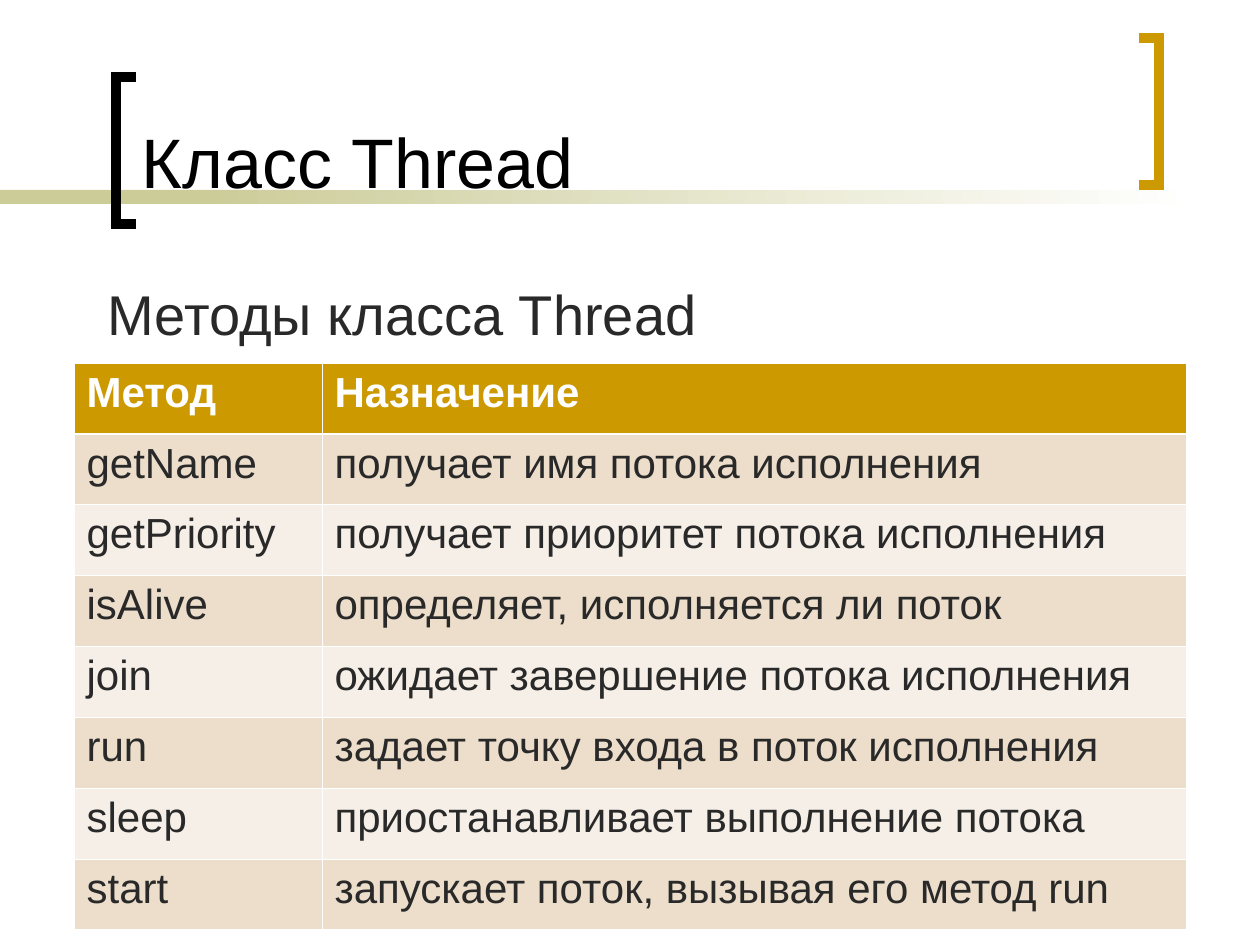
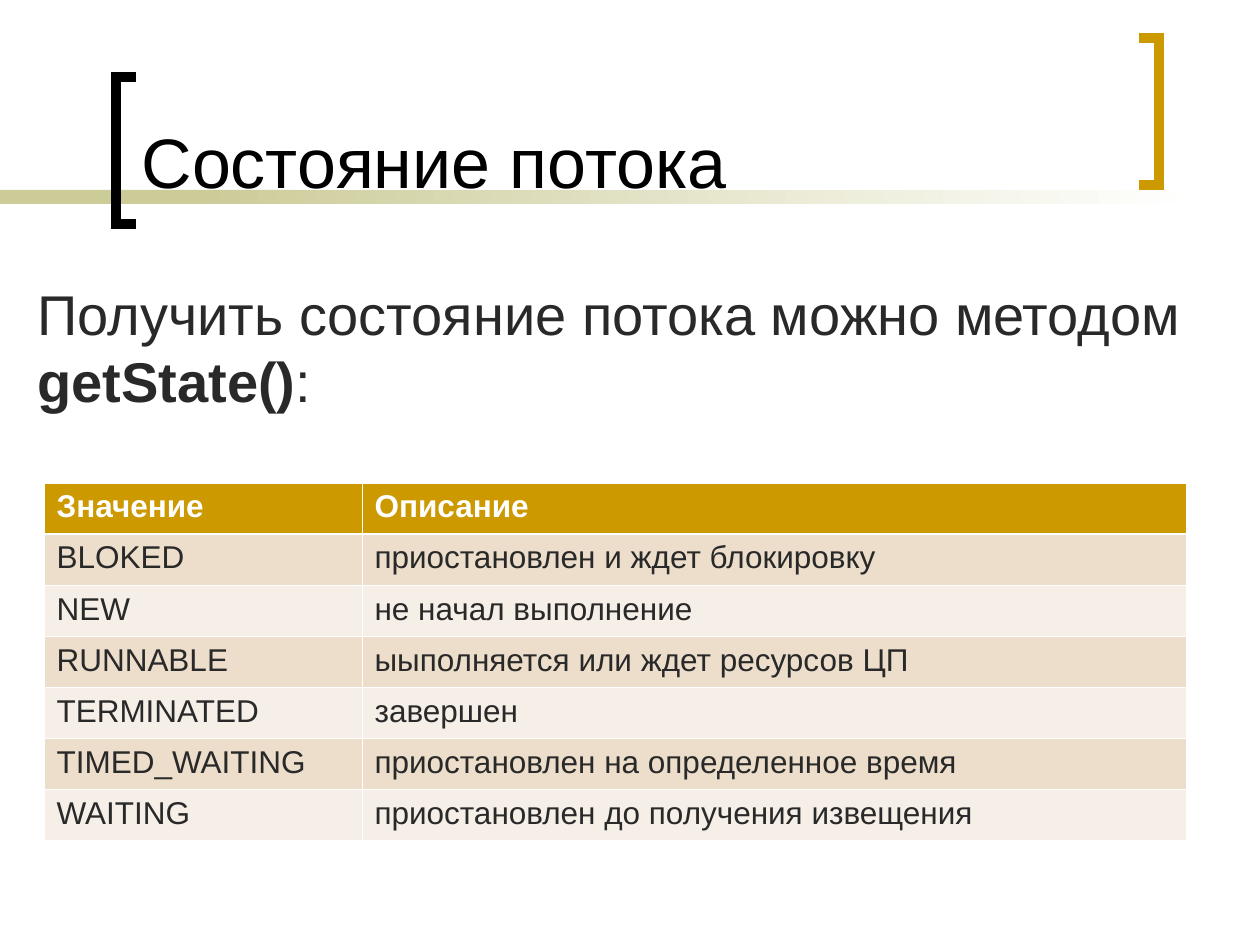
from lxml.etree import SubElement
from pptx import Presentation
from pptx.dml.color import RGBColor
from pptx.enum.shapes import MSO_SHAPE
from pptx.enum.text import MSO_ANCHOR, MSO_AUTO_SIZE, PP_ALIGN
from pptx.oxml.ns import qn
from pptx.util import Pt

PX = 914400 / 126  # EMU in one px
SLIDE_WIDTH, SLIDE_HEIGHT = 1260, 945
FONT = "Arial"
TITLE_ONLY = 5
COLORS = {
    "title": "000000",
    "text": "292929",
    "white": "FFFFFF",
    "gold": "CC9900",
    "olive": "CCCC99",
    "row_dark": "ECDECB",
    "row_light": "F6EFE7",
}


def px(*lengths):
    return [round(length * PX) for length in lengths]


def rgb(name):
    return RGBColor.from_string(COLORS[name])


def add_text(paragraph, text, *, size, color="text", bold=False, align=PP_ALIGN.LEFT):
    paragraph.alignment = align
    run = paragraph.add_run()
    run.text = text
    run.font.name = FONT
    run.font.size = Pt(size)
    run.font.bold = bold
    run.font.color.rgb = rgb(color)


class Deck:
    """Holds the shared style and the slide being built."""

    def __init__(self):
        self.prs = Presentation()
        self.prs.slide_width, self.prs.slide_height = px(SLIDE_WIDTH, SLIDE_HEIGHT)
        self.slide = None

    def new_slide(self, heading, heading_width):
        self.slide = self.prs.slides.add_slide(self.prs.slide_layouts[TITLE_ONLY])
        # Olive band that fades to the right
        self.band(0, 294)
        self.band(199, 998, fade_to="white")
        # Brackets around the title
        self.bracket(open_x=136, spine_x=116, top=77, color="title")
        self.bracket(open_x=1139, spine_x=1159, top=38, color="gold")
        self.title(heading, heading_width)

    def band(self, left, width, fade_to=None):
        band = self.slide.shapes.add_shape(MSO_SHAPE.RECTANGLE, *px(left, 190, width, 14))
        band.shadow.inherit = False
        band.line.fill.background()
        if fade_to is None:
            band.fill.solid()
            band.fill.fore_color.rgb = rgb("olive")
            return
        band.fill.gradient()
        band.fill.gradient_angle = 0
        for stop, color in zip(band.fill.gradient_stops, ("olive", fade_to)):
            stop.color.rgb = rgb(color)

    def bracket(self, open_x, spine_x, top, color, height=147):
        bottom = top + height
        outline = self.slide.shapes.build_freeform(open_x, bottom, scale=PX)
        outline.add_line_segments(
            [(spine_x, bottom), (spine_x, top), (open_x, top)], close=False)
        bracket = outline.convert_to_shape()
        bracket.shadow.inherit = False
        bracket.fill.background()
        bracket.line.color.rgb = rgb(color)
        bracket.line.width = Pt(6)
        SubElement(bracket.element.spPr.find(qn("a:ln")), qn("a:miter"), lim="800000")

    def title(self, heading, width):
        title = self.slide.shapes.title
        title.left, title.top, title.width, title.height = px(129, 14, width, 195)
        title.text_frame.vertical_anchor = MSO_ANCHOR.BOTTOM
        title.text_frame.auto_size = MSO_AUTO_SIZE.NONE
        add_text(title.text_frame.paragraphs[0], heading, size=40, color="title")
        # The title lies in front of the band
        title.element.getparent().append(title.element)

    def lead(self, left, width, *pieces):
        """Each piece is a (text, bold) pair."""
        box = self.slide.shapes.add_textbox(*px(left, 273, width, 567))
        box.text_frame.word_wrap = True
        paragraph = box.text_frame.paragraphs[0]
        paragraph.space_before = Pt(8)
        for text, bold in pieces:
            add_text(paragraph, text, size=32, bold=bold)

    def table(self, left, top, column_widths, height, rows, size):
        frame = self.slide.shapes.add_table(
            len(rows), len(column_widths), *px(left, top, sum(column_widths), height))
        table = frame.table
        for column, width in zip(table.columns, px(*column_widths)):
            column.width = width
        for r, texts in enumerate(rows):
            table.rows[r].height = px(height / len(rows))[0]
            header = r == 0
            fill = "gold" if header else "row_dark" if r % 2 else "row_light"
            for c, text in enumerate(texts):
                cell = table.cell(r, c)
                self.borders(cell, top=1.47 if r == 1 else 0.45,
                             bottom=1.47 if header else 0.45)
                cell.fill.solid()
                cell.fill.fore_color.rgb = rgb(fill)
                add_text(cell.text_frame.paragraphs[0], text, size=size,
                         color="white" if header else "text", bold=header)

    def borders(self, cell, top, bottom, side=0.45):
        properties = cell._tc.get_or_add_tcPr()
        for edge, width in (("L", side), ("R", side), ("T", top), ("B", bottom)):
            line = SubElement(properties, qn(f"a:ln{edge}"), w=str(Pt(width)))
            fill = SubElement(line, qn("a:solidFill"))
            SubElement(fill, qn("a:srgbClr"), val=COLORS["white"])


THREAD_METHODS = [
    ("Метод", "Назначение"),
    ("getName", "получает имя потока исполнения"),
    ("getPriority", "получает приоритет потока исполнения"),
    ("isAlive", "определяет, исполняется ли поток"),
    ("join", "ожидает завершение потока исполнения"),
    ("run", "задает точку входа в поток исполнения"),
    ("sleep", "приостанавливает выполнение потока"),
    ("start", "запускает поток, вызывая его метод run"),
]

THREAD_STATES = [
    ("Значение", "Описание"),
    ("BLOKED", "приостановлен и ждет блокировку"),
    ("NEW", "не начал выполнение"),
    ("RUNNABLE", "ыыполняется или ждет ресурсов ЦП"),
    ("TERMINATED", "завершен"),
    ("TIMED_WAITING", "приостановлен на определенное время"),
    ("WAITING", "приостановлен до получения извещения"),
]


def main():
    deck = Deck()

    # Methods of the class
    deck.new_slide("Класс Thread", 987)
    deck.lead(95, 1092, ("Методы класса Thread", False))
    deck.table(74, 363, (248, 864), 567, THREAD_METHODS, size=24)

    # States of a thread
    deck.new_slide("Состояние потока", 1018)
    deck.lead(25, 1211, ("Получить состояние потока можно методом ", False),
              ("getState()", True), (":", False))
    deck.table(44, 483, (318, 824), 358, THREAD_STATES, size=18)

    deck.prs.save("out.pptx")


if __name__ == "__main__":
    main()
